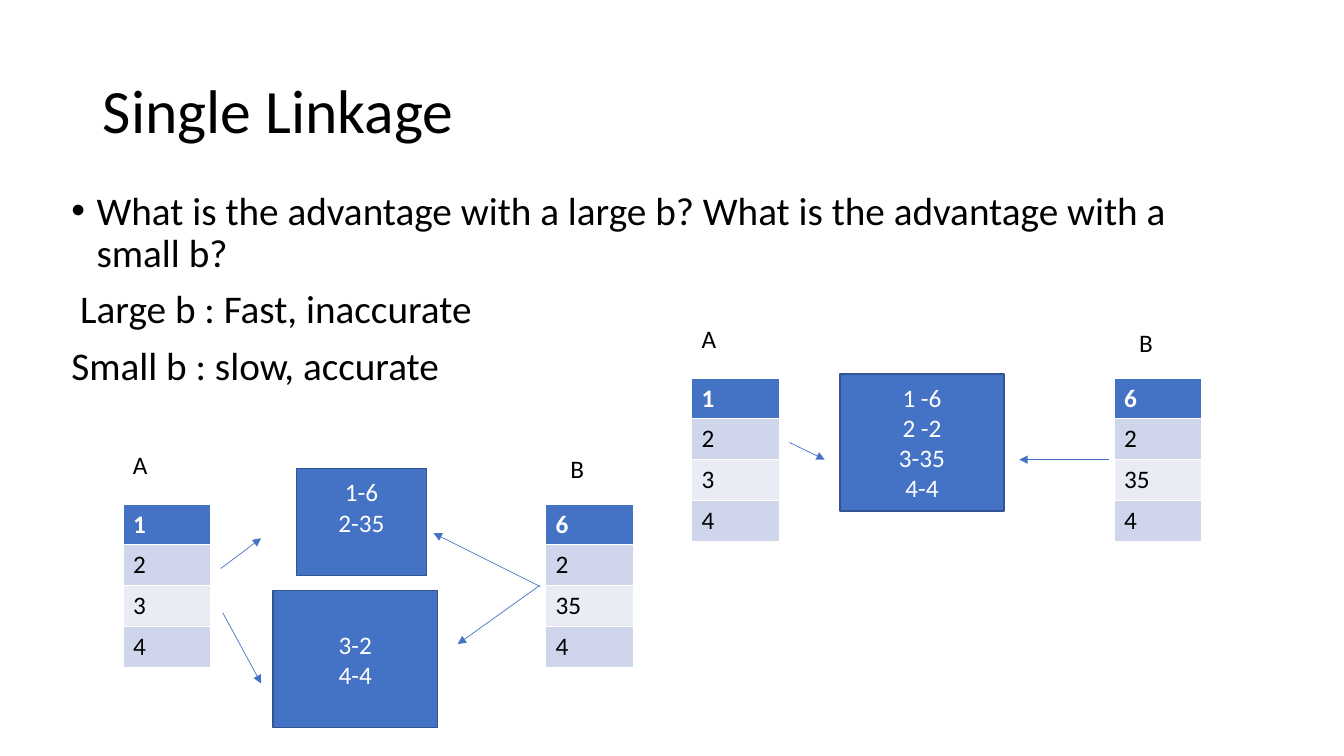
from lxml import etree
from pptx import Presentation
from pptx.dml.color import RGBColor
from pptx.enum.shapes import MSO_CONNECTOR, MSO_SHAPE
from pptx.enum.text import MSO_ANCHOR, PP_ALIGN
from pptx.oxml.ns import qn
from pptx.util import Inches, Pt

STRAIGHT = MSO_CONNECTOR.STRAIGHT
RECTANGLE = MSO_SHAPE.RECTANGLE
MIDDLE = MSO_ANCHOR.MIDDLE
LEFT, CENTER = PP_ALIGN.LEFT, PP_ALIGN.CENTER

COLORS = {
    "text": "000000",
    "white": "FFFFFF",
    "blue": "4472C4",
    "outline": "325491",
    "band_dark": "CFD5EA",
    "band_light": "E9EBF5",
}


class SlideBuilder:
    """Holds the style and the current slide, and adds its elements."""

    font = "Calibri"

    def __init__(self, slide):
        self.slide = slide

    def color(self, name):
        return RGBColor.from_string(COLORS[name])

    def style(self, tf, size=18, color="text", align=LEFT, bold=False):
        for p in tf.paragraphs:
            p.alignment = align
            for r in p.runs:
                r.font.name = self.font
                r.font.size = Pt(size)
                r.font.bold = bold
                r.font.color.rgb = self.color(color)

    def title(self, text, x, y, w, h):
        sp = self.slide.shapes.title
        sp.left, sp.top, sp.width, sp.height = map(Inches, (x, y, w, h))
        tf = sp.text_frame
        tf.text = text
        tf.vertical_anchor = MIDDLE
        tf.paragraphs[0].line_spacing = 0.9
        self.style(tf, 44)

    def text(self, text, x, y, w, h, size=18):
        sp = self.slide.shapes.add_textbox(*map(Inches, (x, y, w, h)))
        tf = sp.text_frame
        tf.word_wrap = True
        tf.text = text
        self.style(tf, size)
        return tf

    def body(self, lines, x, y, w, h):
        tf = self.text("\n".join(lines), x, y, w, h, 28)
        for p in tf.paragraphs:
            p.line_spacing = 0.9
            p.space_before = Pt(10)
        pPr = tf.paragraphs[0]._p.get_or_add_pPr()
        pPr.set("marL", str(Inches(0.25)))
        pPr.set("indent", str(Inches(-0.25)))
        etree.SubElement(pPr, qn("a:buFont"), typeface="Arial")
        etree.SubElement(pPr, qn("a:buChar"), char="•")

    def column(self, values, x, y, w=0.87, h=1.62):
        rows = len(values)
        frame = self.slide.shapes.add_table(rows, 1, *map(Inches, (x, y, w, h)))
        for i, value in enumerate(values):
            cell = frame.table.cell(i, 0)
            cell.text = value
            band = "band_dark" if i % 2 else "band_light"
            cell.fill.solid()
            cell.fill.fore_color.rgb = self.color(band if i else "blue")
            self.style(cell.text_frame, color="text" if i else "white", bold=i == 0)

    def box(self, lines, x, y, w, h, bottom=0.05):
        sp = self.slide.shapes.add_shape(RECTANGLE, *map(Inches, (x, y, w, h)))
        sp.shadow.inherit = False
        sp.fill.solid()
        sp.fill.fore_color.rgb = self.color("blue")
        sp.line.color.rgb = self.color("outline")
        sp.line.width = Pt(1)
        tf = sp.text_frame
        tf.word_wrap = True
        tf.vertical_anchor = MIDDLE
        tf.margin_bottom = Inches(bottom)
        tf.text = "\n".join(lines)
        self.style(tf, color="white", align=CENTER)

    def arrow(self, x1, y1, x2, y2):
        cxn = self.slide.shapes.add_connector(STRAIGHT, *map(Inches, (x1, y1, x2, y2)))
        cxn.line.color.rgb = self.color("blue")
        cxn.line.width = Pt(0.5)
        etree.SubElement(cxn.line._get_or_add_ln(), qn("a:tailEnd"), type="triangle")
        etree.SubElement(cxn._element.spPr, qn("a:effectLst"))

    def linkage(self, x, y):
        self.column(["1", "2", "3", "4"], x, y)
        self.column(["6", "2", "35", "4"], x + 4.19, y)
        self.text("A", x, y - 0.59, 0.69, 0.4)
        self.text("B", x + 4.34, y - 0.55, 0.69, 0.4)


def main():
    prs = Presentation()
    prs.slide_width, prs.slide_height = Inches(13.33), Inches(7.5)
    s = SlideBuilder(prs.slides.add_slide(prs.slide_layouts[5]))

    s.title("Single Linkage", 0.92, 0.4, 11.5, 1.45)
    s.body([
        "What is the advantage with a large b? What is the advantage with a small b?",
        " Large b : Fast, inaccurate",
        "Small b : slow, accurate",
    ], 0.61, 1.85, 11.5, 4.76)

    s.linkage(6.86, 3.75)
    s.box(["1 -6", "2 -2", "3-35", "4-4"], 8.33, 3.71, 1.63, 1.36)

    s.linkage(1.22, 5)
    s.box(["1-6", "2-35"], 2.94, 4.65, 1.29, 1.06, bottom=0.35)
    s.box(["3-2", "4-4"], 2.71, 5.86, 1.63, 1.36)

    for ends in [
        (7.83, 4.39, 8.18, 4.56),
        (11, 4.56, 10.11, 4.56),
        (2.19, 5.64, 2.59, 5.34),
        (5.35, 5.81, 4.54, 6.39),
        (2.21, 6.08, 2.59, 6.78),
        (5.36, 5.82, 4.3, 5.29),
    ]:
        s.arrow(*ends)

    prs.save("out.pptx")


if __name__ == "__main__":
    main()
